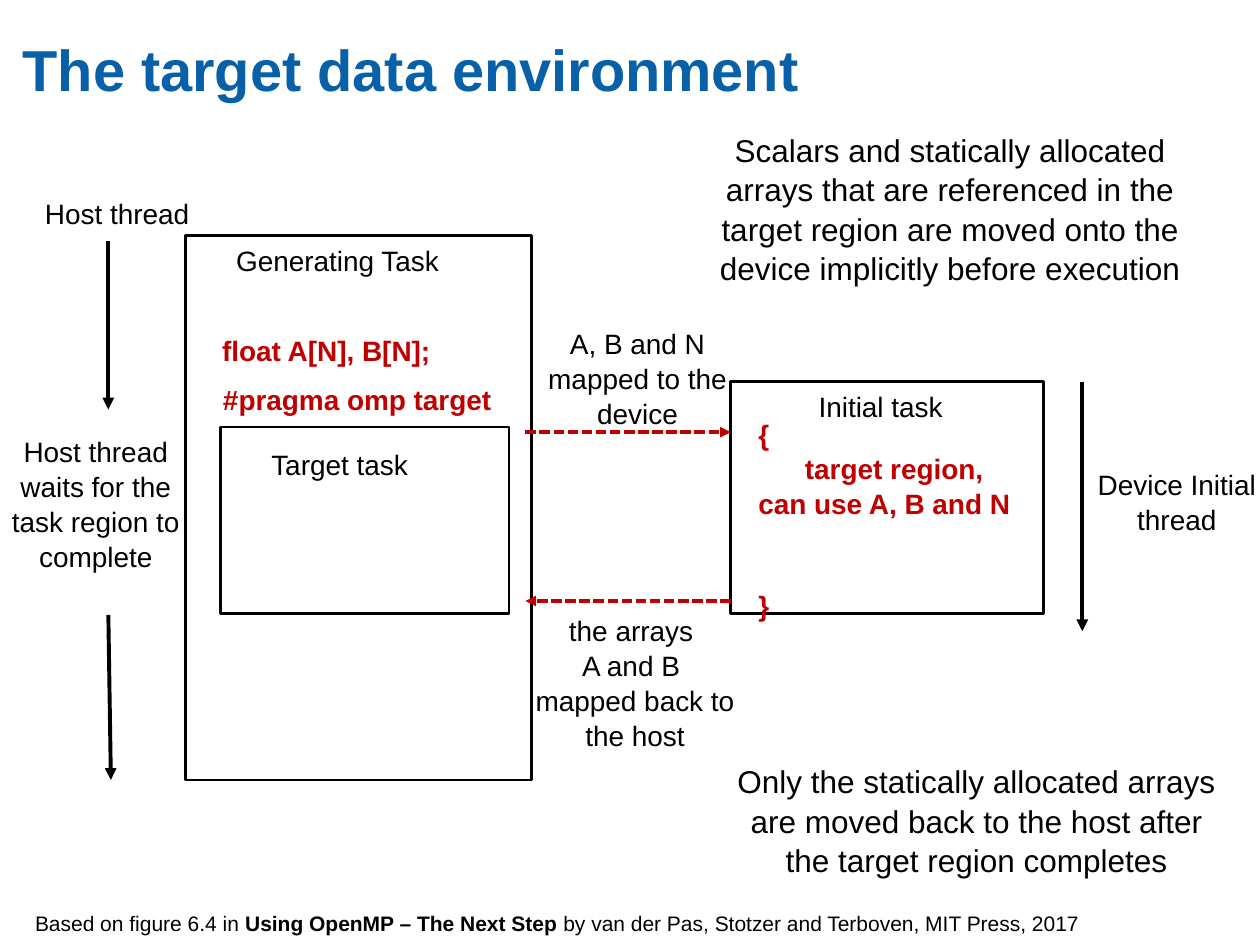
from lxml.etree import SubElement
from pptx import Presentation
from pptx.dml.color import RGBColor
from pptx.enum.dml import MSO_LINE_DASH_STYLE as Dash
from pptx.enum.shapes import MSO_CONNECTOR as Connector, MSO_SHAPE as Shape
from pptx.enum.text import MSO_ANCHOR as Anchor, MSO_AUTO_SIZE as AutoSize, PP_ALIGN as Align
from pptx.oxml.ns import qn
from pptx.util import Inches, Pt

BLACK = RGBColor(0x00, 0x00, 0x00)
RED = RGBColor(0xC0, 0x00, 0x00)
BLUE = RGBColor(0x08, 0x60, 0xA8)
FONT = "Arial"


def add_span(para, text, size, color=BLACK, bold=False):
    """Add one formatted run to a paragraph."""
    span = para.add_run()
    span.text = text
    span.font.name = FONT
    span.font.size = Pt(size)
    span.font.bold = bold
    span.font.color.rgb = color


def add_title(page, text):
    """Place and fill the title placeholder."""
    title = page.shapes.title
    title.left, title.top = Inches(0.18), Inches(0.21)
    title.width, title.height = Inches(9.01), Inches(0.97)
    frame = title.text_frame
    frame.margin_left = frame.margin_top = frame.margin_right = frame.margin_bottom = 0
    frame.vertical_anchor = Anchor.TOP
    frame.auto_size = AutoSize.NONE
    para = frame.paragraphs[0]
    para.alignment = Align.LEFT
    para.line_spacing = 1.1
    add_span(para, text, 33, BLUE, True)


def add_box(page, left, top, width, height):
    """Add an empty wrapping text box and return its text frame."""
    box = page.shapes.add_textbox(Inches(left), Inches(top), Inches(width), Inches(height))
    frame = box.text_frame
    frame.word_wrap = True
    frame.auto_size = AutoSize.SHAPE_TO_FIT_TEXT
    return frame


def add_label(page, place, lines, size=16, color=BLACK, bold=False):
    """Add a centred label whose lines are parted by line breaks."""
    para = add_box(page, *place).paragraphs[0]
    para.alignment = Align.CENTER
    para.line_spacing = 1.04
    for number, line in enumerate(lines):
        if number:
            para.add_line_break()
        add_span(para, line, size, color, bold)


def add_region_code(page):
    """Add the code of the target region between its braces."""
    frame = add_box(page, 5.92, 3.25, 2.35, 1.72)
    lines = [("{", 0, 0), ("target region, can use A, B and N", 0.37, 0), ("}", 0, 38)]
    for number, (text, indent, gap) in enumerate(lines):
        para = frame.add_paragraph() if number else frame.paragraphs[0]
        para.line_spacing = 1.04
        para.space_before = Pt(gap)
        properties = para._p.get_or_add_pPr()
        properties.set("marL", "0")
        properties.set("indent", str(Inches(indent)))
        add_span(para, text, 16, RED, True)


def add_source(page):
    """Add the line that names the book behind the figure."""
    para = add_box(page, 0.18, 7.18, 9.64, 0.3).paragraphs[0]
    add_span(para, "Based on figure 6.4 in ", 12)
    add_span(para, "Using OpenMP – The Next Step ", 12, bold=True)
    add_span(para, "by van der Pas, Stotzer and Terboven, MIT Press, 2017", 12)


def add_frame(page, left, top, width, height):
    """Add an unfilled rectangle for a task."""
    frame = page.shapes.add_shape(
        Shape.RECTANGLE, Inches(left), Inches(top), Inches(width), Inches(height))
    frame.shadow.inherit = False
    frame.fill.background()
    frame.line.color.rgb = BLACK
    frame.line.width = Pt(1.5)


def add_arrow(page, start, end, color=BLACK, width=2.25, dash=None):
    """Add a straight arrow that points at its end."""
    arrow = page.shapes.add_connector(
        Connector.STRAIGHT, *(Inches(value) for value in start + end))
    arrow.line.color.rgb = color
    arrow.line.width = Pt(width)
    if dash:
        arrow.line.dash_style = dash
    SubElement(arrow.line._get_or_add_ln(), qn("a:tailEnd"), type="triangle")
    SubElement(arrow._element.spPr, qn("a:effectLst"))


def main():
    """Build and save the slide."""
    deck = Presentation()
    deck.slide_width, deck.slide_height = Inches(10), Inches(7.5)
    page = deck.slides.add_slide(deck.slide_layouts[5])
    add_title(page, "The target data environment")

    for place in [(5.8, 3.03, 2.48, 1.84), (1.47, 1.87, 2.75, 4.32), (1.75, 3.39, 2.29, 1.48)]:
        add_frame(page, *place)

    for start, end in [((0.86, 1.91), (0.86, 3.25)),
                       ((0.86, 4.88), (0.88, 6.19)),
                       ((8.59, 3.03), (8.59, 5.01))]:
        add_arrow(page, start, end)
    for start, end in [((4.17, 3.43), (5.8, 3.43)), ((5.8, 4.77), (4.17, 4.77))]:
        add_arrow(page, start, end, RED, 2, Dash.SQUARE_DOT)

    for place, lines in [
        ((0.11, 1.5, 1.64, 0.37), ["Host thread"]),
        ((1.75, 1.87, 1.86, 0.37), ["Generating Task"]),
        ((6.06, 3.03, 1.86, 0.37), ["Initial task"]),
        ((1.84, 3.49, 1.71, 0.37), ["Target task"]),
        ((8.52, 3.65, 1.64, 0.64), ["Device Initial thread"]),
        ((-0.06, 3.39, 1.64, 1.18), ["Host thread", "waits for the task region to complete"]),
        ((4.13, 2.53, 1.86, 0.91), ["A, B and N mapped to the device"]),
        ((4.11, 4.81, 1.86, 1.18), ["the arrays ", "A and B ", "mapped back to the host"]),
    ]:
        add_label(page, place, lines)

    add_label(page, (1.53, 2.59, 2.12, 0.37), ["float A[N], B[N];"], color=RED, bold=True)
    add_label(page, (1.44, 2.98, 2.79, 0.37), ["#pragma omp target"], color=RED, bold=True)
    add_region_code(page)

    add_label(page, (5.39, 0.98, 4.3, 1.31), [
        "Scalars and statically allocated arrays that are referenced in the target region "
        "are moved onto the device implicitly before execution"], 18)
    add_label(page, (5.7, 5.99, 4.1, 1.01), [
        "Only the statically allocated arrays are moved back to the host after "
        "the target region completes"], 18)
    add_source(page)
    deck.save("out.pptx")


if __name__ == "__main__":
    main()
